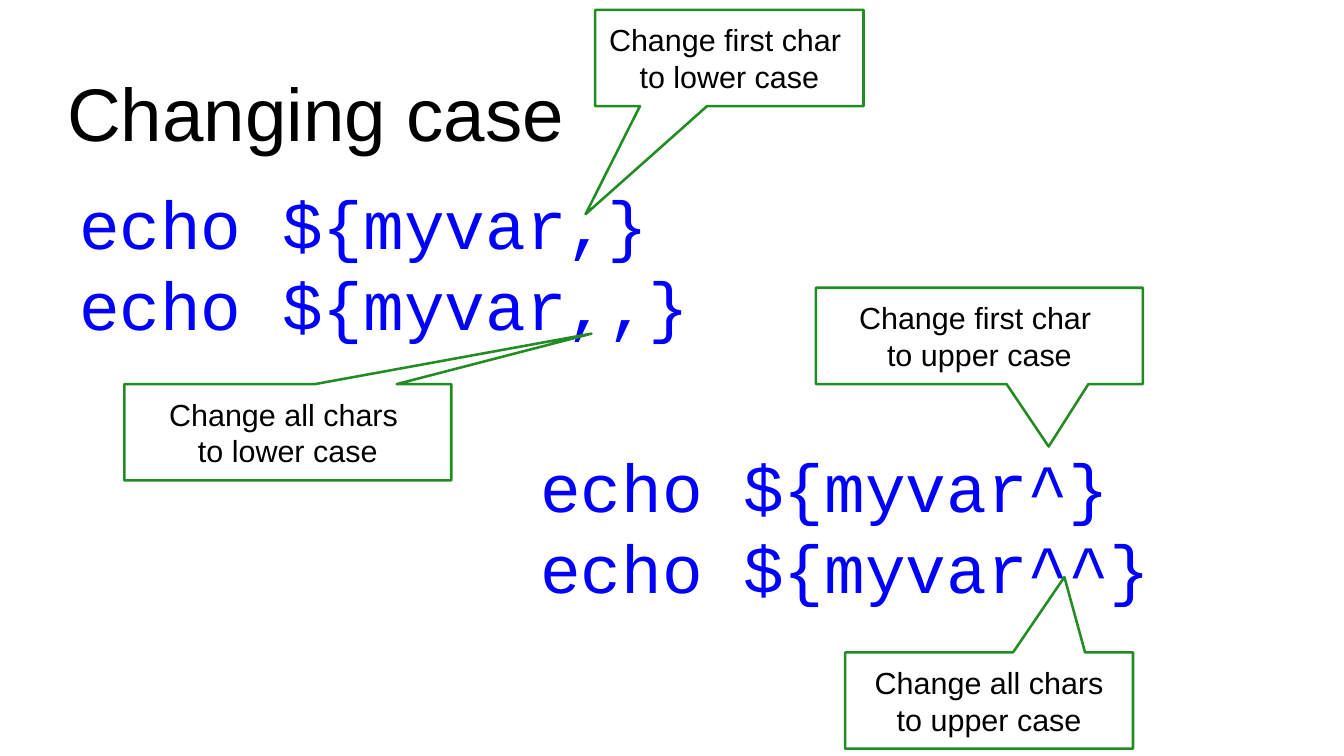
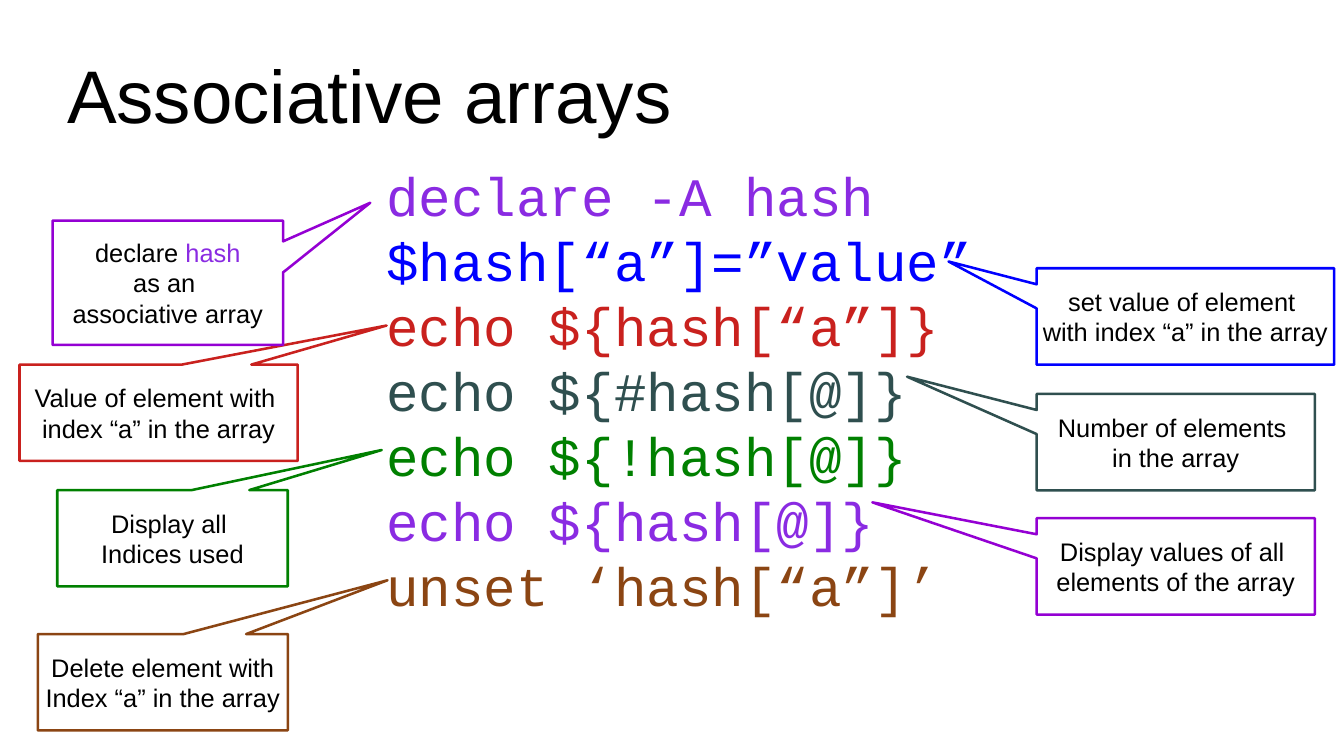
from dataclasses import dataclass

from lxml.etree import SubElement
from pptx import Presentation
from pptx.dml.color import RGBColor
from pptx.enum.shapes import MSO_SHAPE as Shape
from pptx.enum.text import MSO_ANCHOR as Anchor, PP_ALIGN as Align
from pptx.util import Pt

SANS, MONO = "Arial", "Courier New"
BLACK, BLUE, GREEN, RED = "000000", "0000FF", "008000", "C9211E"
FOREST, SLATE, BROWN = "228B22", "2F4F4F", "8B4513"
VIOLET, DARK_VIOLET = "8A2BE2", "9400D3"
CALLOUT_H = 56.9


@dataclass
class Run:
    text: str
    color: str = BLACK


@dataclass
class Code:
    left: float
    top: float
    width: float
    height: float
    size: int
    lines: list[Run]


@dataclass
class Callout:
    """A box whose pointer ends at tip, given in slide points."""
    left: float
    top: float
    width: float
    tip: tuple[float, float]
    color: str
    lines: list[str | list[Run]]
    height: float = CALLOUT_H


@dataclass
class Page:
    title: str
    title_top: float
    text_size: int
    codes: list[Code]
    callouts: list[Callout]


def blue(*lines: str) -> list[Run]:
    return [Run(line, BLUE) for line in lines]


PAGES = [
    Page("Changing case", 28.8, 18, [
        Code(39.6, 103.7, 391, 102.2, 40, blue("echo ${myvar,}", "echo ${myvar,,}")),
        Code(311.8, 259.2, 374.4, 97.9, 40, blue("echo ${myvar^}", "echo ${myvar^^}")),
    ], [
        Callout(351.4, 5.8, 158.4, (345.7, 126.5), FOREST,
                ["Change first char ", "to lower case"]),
        Callout(499, 385.2, 169.9, (628.4, 340.7), FOREST,
                ["Change all chars", "to upper case"]),
        Callout(73.4, 226.8, 193, (349.2, 197), FOREST,
                ["Change all chars ", "to lower case"]),
        Callout(481.7, 169.9, 193, (619.1, 263.7), FOREST,
                ["Change first char ", "to upper case"]),
    ]),
    Page("Associative arrays", 18, 15, [
        Code(221, 92.2, 368.6, 333.4, 32, [
            Run("declare -A hash", VIOLET),
            Run("$hash[“a”]=”value”", BLUE),
            Run("echo ${hash[“a”]}", RED),
            Run("echo ${#hash[@]}", SLATE),
            Run("echo ${!hash[@]}", GREEN),
            Run("echo ${hash[@]}", VIOLET),
            Run("unset ‘hash[“a”]’", BROWN),
        ]),
    ], [
        Callout(612, 158.4, 175.7, (560, 154.4), BLUE,
                ["set value of element ", "with index “a” in the array"]),
        Callout(612, 232.6, 164.2, (535.5, 222.4), SLATE,
                ["Number of elements ", "in the array"]),
        Callout(612, 306, 164.2, (515, 296.6), DARK_VIOLET,
                ["Display values of all ", "elements of the array"]),
        Callout(33.8, 289.4, 136.1, (225.4, 265.7), GREEN,
                ["Display all ", "Indices used"]),
        Callout(11.5, 215.3, 164.2, (228.2, 192.2), RED,
                ["Value of element with ", "index “a” in the array"]),
        Callout(31, 130.3, 136.1, (218.6, 119.7), DARK_VIOLET,
                [[Run("declare "), Run("hash", VIOLET)], "as an ", "associative array"],
                height=73.4),
        Callout(22.3, 374.4, 147.6, (228.8, 342.6), BROWN,
                ["Delete element with", "Index “a” in the array"]),
    ]),
]


def rgb(color: str) -> RGBColor:
    return RGBColor.from_string(color)


def write(tf, lines: list[list[Run]], font: str, size: int, align=Align.LEFT) -> None:
    """Fill a text frame, one paragraph per line."""
    for i, line in enumerate(lines):
        p = tf.add_paragraph() if i else tf.paragraphs[0]
        p.alignment = align
        p.font.name, p.font.size = font, Pt(size)
        for run in line:
            r = p.add_run()
            r.text = run.text
            r.font.color.rgb = rgb(run.color)


def set_insets(tf, x: float, y: float) -> None:
    tf.margin_left = tf.margin_right = Pt(x)
    tf.margin_top = tf.margin_bottom = Pt(y)


def add_title(s, text: str, top: float) -> None:
    tf = s.shapes.add_textbox(Pt(39.6), Pt(top), Pt(714.2), Pt(74.9)).text_frame
    tf.word_wrap = True
    tf.vertical_anchor = Anchor.MIDDLE
    set_insets(tf, 0, 0)
    write(tf, [[Run(text)]], SANS, 44)


def add_code(s, code: Code) -> None:
    tf = s.shapes.add_textbox(Pt(code.left), Pt(code.top),
                              Pt(code.width), Pt(code.height)).text_frame
    tf.word_wrap = True
    set_insets(tf, 7.2, 3.6)
    write(tf, [[line] for line in code.lines], MONO, code.size)


def add_callout(s, c: Callout, size: int) -> None:
    sp = s.shapes.add_shape(Shape.RECTANGULAR_CALLOUT, Pt(c.left), Pt(c.top),
                            Pt(c.width), Pt(c.height))
    sp.adjustments[0] = (c.tip[0] - c.left) / c.width - 0.5
    sp.adjustments[1] = (c.tip[1] - c.top) / c.height - 0.5
    sp.shadow.inherit = False
    sp.fill.background()
    sp.line.color.rgb = rgb(c.color)
    sp.line.width = Pt(1.5)
    # Rounded joins keep the narrow pointers from growing long spikes.
    ln = sp.line.fill._xPr
    SubElement(ln, ln.tag.replace("}ln", "}round"))
    tf = sp.text_frame
    tf.word_wrap = False
    tf.vertical_anchor = Anchor.MIDDLE
    set_insets(tf, 7.9, 4.3)
    lines = [[Run(line)] if isinstance(line, str) else line for line in c.lines]
    write(tf, lines, SANS, size, Align.CENTER)


def main() -> None:
    prs = Presentation()
    prs.slide_width, prs.slide_height = Pt(793.44), Pt(446.4)
    for page in PAGES:
        s = prs.slides.add_slide(prs.slide_layouts[6])
        add_title(s, page.title, page.title_top)
        for code in page.codes:
            add_code(s, code)
        for callout in page.callouts:
            add_callout(s, callout, page.text_size)
    prs.save("out.pptx")


if __name__ == "__main__":
    main()
